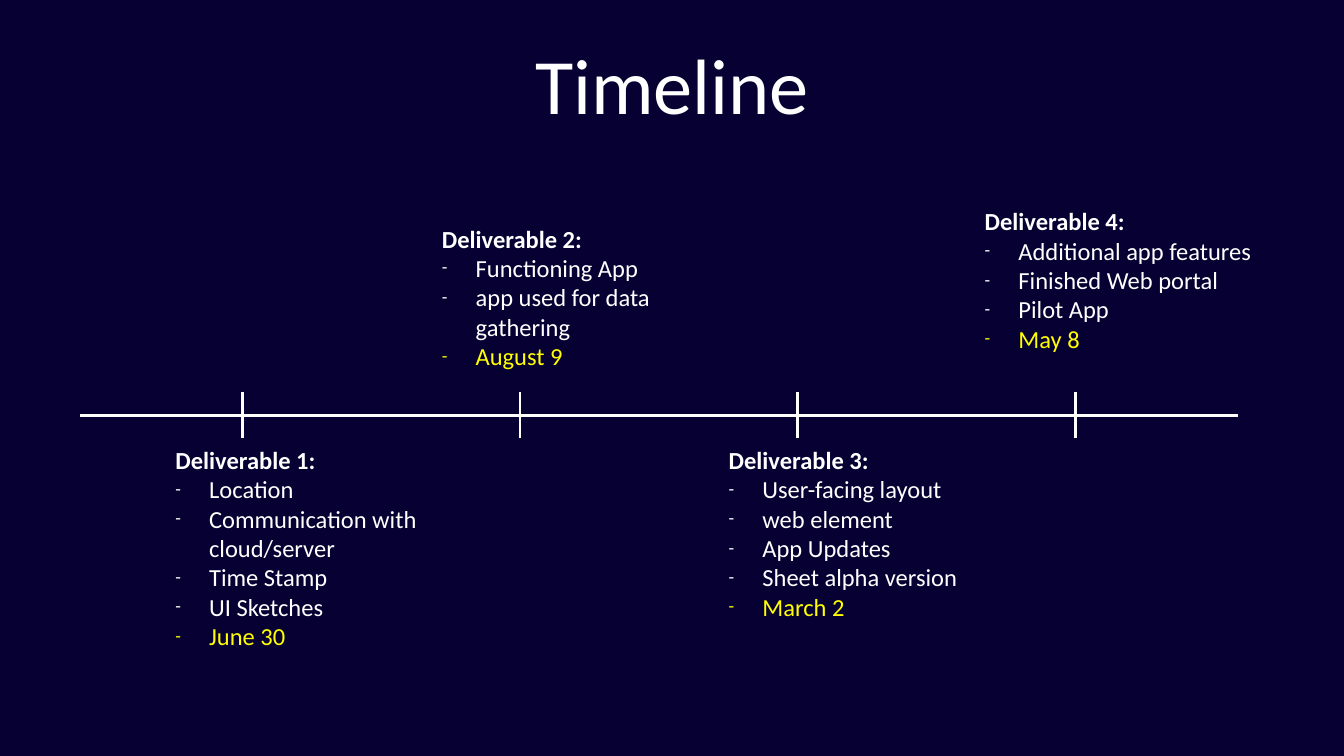
from lxml.etree import SubElement
from pptx import Presentation
from pptx.dml.color import RGBColor
from pptx.enum.shapes import MSO_CONNECTOR
from pptx.enum.text import MSO_ANCHOR, MSO_AUTO_SIZE, PP_ALIGN
from pptx.oxml.ns import qn
from pptx.util import Pt

PX = 9144
FONT = "Calibri"
COLORS = {"background": "070032", "text": "FFFFFF", "date": "FFFF00"}
INSET = 6
INDENT = 67
AXIS = (159, 824, 2297)
FIRST_TICK, TICK_STEP, TICK_HALF = 481, 551, 46
DELIVERABLE_WIDTH = 559

DELIVERABLES = [
    (342, 877, 419, "Deliverable 1:",
     ["Location", "Communication with cloud/server", "Time Stamp", "UI Sketches"], "June 30"),
    (871, 438, 303, "Deliverable 2:",
     ["Functioning App", "app used for data gathering"], "August 9"),
    (1440, 877, 361, "Deliverable 3:",
     ["User-facing layout", "web element", "App Updates", "Sheet alpha version"], "March 2"),
    (1948, 402, 306, "Deliverable 4:",
     ["Additional app features", "Finished Web portal", "Pilot App"], "May 8"),
]


def px(value):
    return int(value * PX)


def color(name):
    return RGBColor.from_string(COLORS[name])


def format_frame(frame, auto_size):
    frame.word_wrap = True
    frame.auto_size = auto_size
    frame.vertical_anchor = MSO_ANCHOR.MIDDLE
    frame.margin_left = frame.margin_right = px(INSET)
    frame.margin_top = frame.margin_bottom = px(INSET)


def add_span(para, text, size, color_name="text", bold=False):
    span = para.add_run()
    span.text = text
    span.font.name = FONT
    span.font.size = Pt(size)
    span.font.bold = bold
    span.font.color.rgb = color(color_name)


def add_dash(para):
    properties = para._p.get_or_add_pPr()
    properties.set("marL", str(px(INDENT)))
    properties.set("indent", str(-px(INDENT)))
    SubElement(properties, qn("a:buSzPct"), val="75000")
    SubElement(properties, qn("a:buFont"), typeface=FONT)
    SubElement(properties, qn("a:buChar"), char="-")


def add_title(page, left, top, width, height):
    title = page.shapes.title
    title.left, title.top = px(left), px(top)
    title.width, title.height = px(width), px(height)
    format_frame(title.text_frame, MSO_AUTO_SIZE.NONE)
    para = title.text_frame.paragraphs[0]
    para.alignment = PP_ALIGN.CENTER
    add_span(para, "Timeline", 112)


def add_line(page, x1, y1, x2, y2):
    line = page.shapes.add_connector(
        MSO_CONNECTOR.STRAIGHT, px(x1), px(y1), px(x2), px(y2))
    line.line.color.rgb = color("text")
    line.line.width = Pt(4)
    SubElement(line._element.spPr, qn("a:effectLst"))


def add_axis(page, left, middle, width):
    add_line(page, left, middle, left + width, middle)
    for index in range(len(DELIVERABLES)):
        x = FIRST_TICK + index * TICK_STEP
        add_line(page, x, middle + TICK_HALF, x, middle - TICK_HALF)


def add_deliverable(page, left, top, width, height, heading, tasks, date):
    box = page.shapes.add_textbox(px(left), px(top), px(width), px(height))
    frame = box.text_frame
    format_frame(frame, MSO_AUTO_SIZE.SHAPE_TO_FIT_TEXT)
    add_span(frame.paragraphs[0], heading, 35, bold=True)
    for text, color_name in [(task, "text") for task in tasks] + [(date, "date")]:
        para = frame.add_paragraph()
        add_dash(para)
        add_span(para, text, 35, color_name)


def main():
    deck = Presentation()
    deck.slide_width, deck.slide_height = px(2667), px(1500)
    page = deck.slides.add_slide(deck.slide_layouts[5])
    page.background.fill.solid()
    page.background.fill.fore_color.rgb = color("background")
    add_title(page, 185, 39, 2297, 250)
    add_axis(page, *AXIS)
    for left, top, height, heading, tasks, date in DELIVERABLES:
        add_deliverable(page, left, top, DELIVERABLE_WIDTH, height, heading, tasks, date)
    deck.save("out.pptx")


if __name__ == "__main__":
    main()
